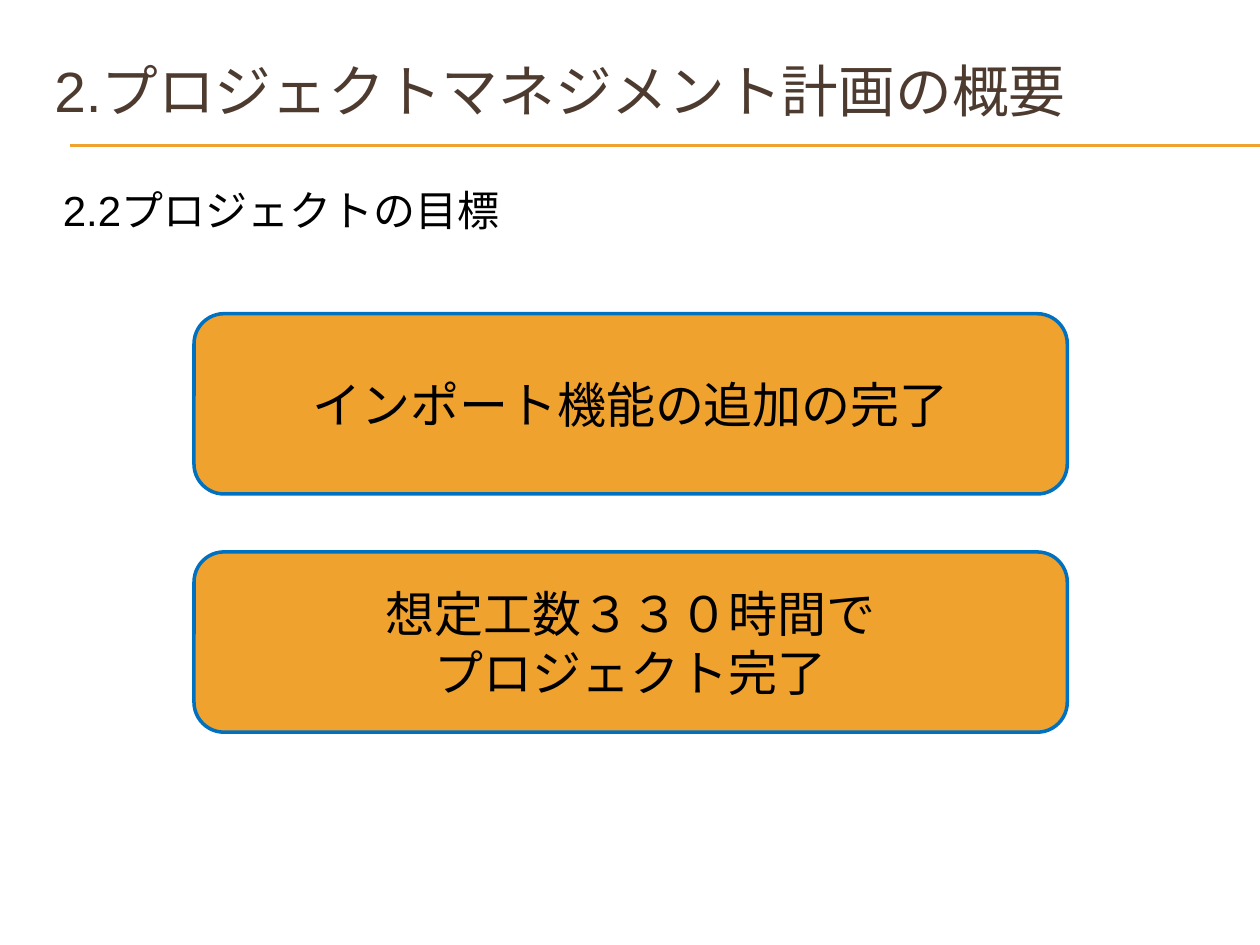
from typing import NamedTuple

from lxml.etree import SubElement
from pptx import Presentation
from pptx.dml.color import RGBColor
from pptx.enum.lang import MSO_LANGUAGE_ID
from pptx.enum.shapes import MSO_CONNECTOR, MSO_SHAPE
from pptx.enum.text import MSO_ANCHOR, MSO_AUTO_SIZE, PP_ALIGN
from pptx.oxml.ns import qn
from pptx.util import Pt

ORANGE, BLUE, BROWN, BLACK = "F0A22E", "0070C0", "4E3B30", "000000"
GOAL_TOP, GOAL_PITCH = 179.3, 136.1


class Box(NamedTuple):
    left: float
    top: float
    width: float
    height: float

    def emu(self) -> tuple:
        return tuple(Pt(v) for v in self)


def rgb(color: str) -> RGBColor:
    return RGBColor.from_string(color)


def write(tf, text: str, size: float, color: str, align=PP_ALIGN.LEFT) -> None:
    tf.text = text
    tf.word_wrap = True
    for p in tf.paragraphs:
        p.alignment = align
        for r in p.runs:
            r.font.name = "Arial"
            r.font.size = Pt(size)
            r.font.color.rgb = rgb(color)
            r.font.language_id = MSO_LANGUAGE_ID.JAPANESE


def add_rule(s, y: float) -> None:
    sp = s.shapes.add_connector(
        MSO_CONNECTOR.STRAIGHT, Pt(40.3), Pt(y), Pt(720), Pt(y))
    sp.line.color.rgb = rgb(ORANGE)
    sp.line.width = Pt(0.75)
    SubElement(sp._element.spPr, qn("a:effectLst"))


def add_title(s, text: str, box: Box) -> None:
    sp = s.shapes.title
    sp.left, sp.top, sp.width, sp.height = box.emu()
    tf = sp.text_frame
    tf.auto_size = MSO_AUTO_SIZE.NONE
    tf.vertical_anchor = MSO_ANCHOR.MIDDLE
    write(tf, text, 32.4, BROWN)


def add_heading(s, text: str, box: Box) -> None:
    tf = s.shapes.add_textbox(*box.emu()).text_frame
    write(tf, text, 24, BLACK)
    tf.auto_size = MSO_AUTO_SIZE.SHAPE_TO_FIT_TEXT


def add_goal(s, text: str, box: Box) -> None:
    sp = s.shapes.add_shape(MSO_SHAPE.ROUNDED_RECTANGLE, *box.emu())
    sp.shadow.inherit = False
    sp.fill.solid()
    sp.fill.fore_color.rgb = rgb(ORANGE)
    sp.line.color.rgb = rgb(BLUE)
    sp.line.width = Pt(2)
    sp.text_frame.vertical_anchor = MSO_ANCHOR.MIDDLE
    write(sp.text_frame, text, 28, BLACK, PP_ALIGN.CENTER)


def main() -> None:
    prs = Presentation()
    prs.slide_width, prs.slide_height = Pt(720), Pt(540)
    s = prs.slides.add_slide(prs.slide_layouts[5])
    for y in (82.8, 83.5):
        add_rule(s, y)
    add_title(s, "2.プロジェクトマネジメント計画の概要", Box(23.8, 18, 684, 66.2))
    goals = ("インポート機能の追加の完了", "想定工数３３０時間で\nプロジェクト完了")
    for i, goal in enumerate(goals):
        add_goal(s, goal, Box(110.9, GOAL_TOP + i * GOAL_PITCH, 499, 103))
    add_heading(s, "2.2プロジェクトの目標", Box(28.8, 102.2, 289.4, 36))
    prs.save("out.pptx")


if __name__ == "__main__":
    main()
